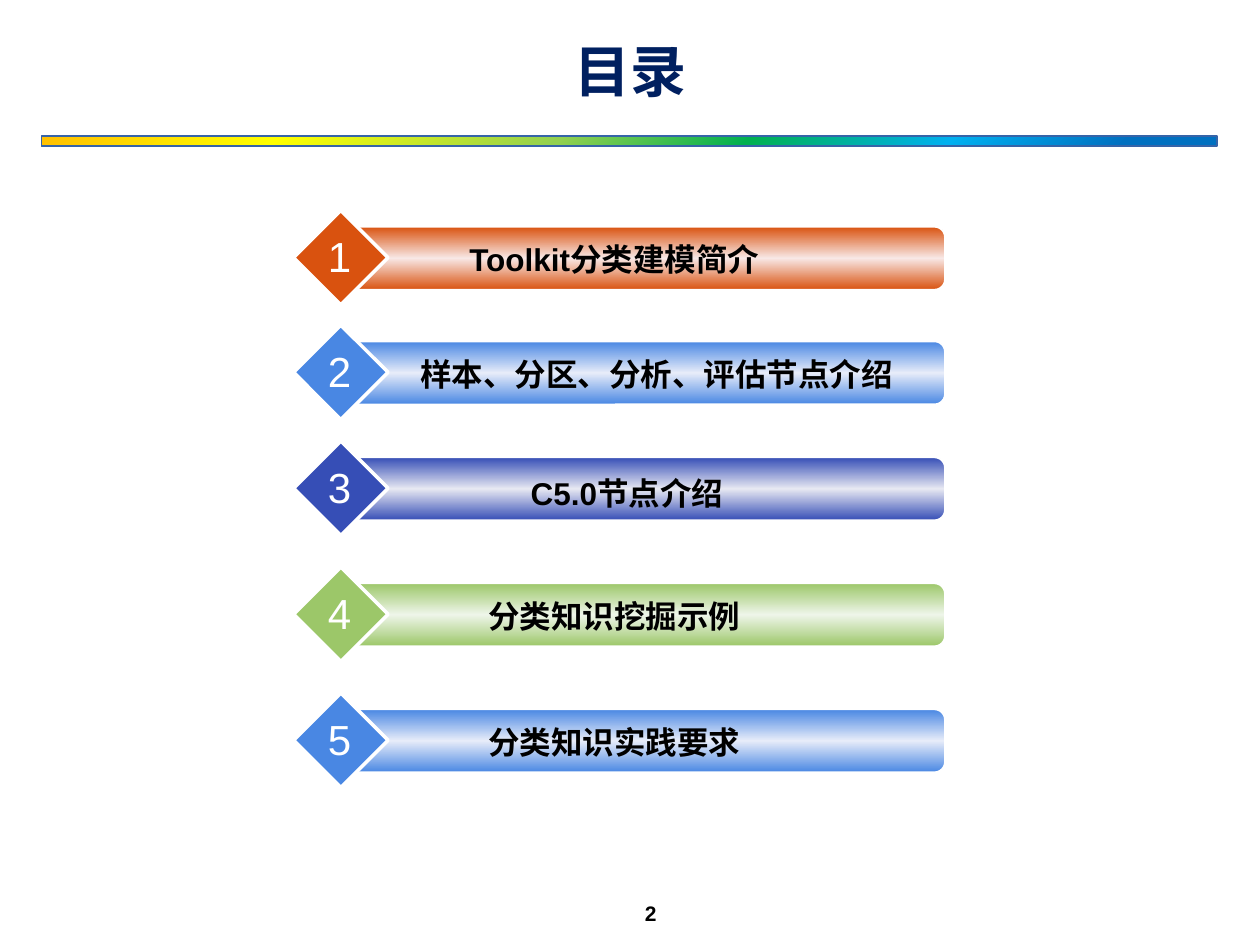
from dataclasses import dataclass

from lxml import etree
from pptx import Presentation
from pptx import util as u
from pptx.dml.color import RGBColor
from pptx.enum import shapes, text
from pptx.oxml.ns import qn

TITLE = "目录"
PAGE_NUMBER = "2"

# number, caption, top, caption box (left, offset from top, width), colour, pale centre
ITEMS = [
    ("1", "Toolkit分类建模简介", 1.67, (3, 0.19, 3.75), "D9520F", "F8E8E6"),
    ("2", "样本、分区、分析、评估节点介绍", 2.58, (3, 0.19, 4.42), "4987E3", "E7ECF9"),
    ("3", "C5.0节点介绍", 3.5, (3.1, 0.21, 3.75), "364EB6", "E7E8F2"),
    ("4", "分类知识挖掘示例", 4.5, (3, 0.19, 3.75), "9CC769", "EEF5E9"),
    ("5", "分类知识实践要求", 5.5, (3, 0.19, 3.75), "4987E3", "E7ECF9"),
]
RAINBOW = [(0, "FFC000"), (20, "FFFF00"), (44, "92D050"),
           (60, "00B050"), (77, "00B0F0"), (92, "0070C0")]


@dataclass(frozen=True)
class Theme:
    font: str = "Arial"
    title: str = "002060"
    ink: str = "000000"
    white: str = "FFFFFF"
    rule_line: str = "3664A8"
    title_size: int = 32
    number_size: int = 24
    caption_size: int = 18
    page_size: int = 12


THEME = Theme()


def box(left, top, width, height):
    return [u.Inches(value) for value in (left, top, width, height)]


def write(shape, content, size, colour, bold=False, wrap=True):
    frame = shape.text_frame
    frame.word_wrap = wrap
    paragraph = frame.paragraphs[0]
    paragraph.alignment = text.PP_ALIGN.CENTER
    run = paragraph.add_run()
    run.text = content
    run.font.name = THEME.font
    run.font.size = u.Pt(size)
    run.font.bold = bold
    run.font.color.rgb = RGBColor.from_string(colour)


def add_outlined(parent, kind, place, line_colour, line_width):
    shape = parent.shapes.add_shape(kind, *box(*place))
    shape.shadow.inherit = False
    shape.line.color.rgb = RGBColor.from_string(line_colour)
    shape.line.width = u.Pt(line_width)
    return shape


def fill_gradient(shape, stops, from_corner=False):
    """Fill from top to bottom, or in circles around the top left corner."""
    shape.fill.background()
    placeholder_fill = shape._element.spPr.find(qn("a:noFill"))
    gradient = etree.Element(qn("a:gradFill"), rotWithShape="1")
    stop_list = etree.SubElement(gradient, qn("a:gsLst"))
    for position, colour in stops:
        stop = etree.SubElement(stop_list, qn("a:gs"), pos=str(position * 1000))
        etree.SubElement(stop, qn("a:srgbClr"), val=colour)
    if from_corner:
        circles = etree.SubElement(gradient, qn("a:path"))
        circles.set("path", "circle")
        etree.SubElement(circles, qn("a:fillToRect"), r="100000", b="100000")
    else:
        etree.SubElement(gradient, qn("a:lin"), ang="5400000", scaled="0")
    shape._element.spPr.replace(placeholder_fill, gradient)


def add_item(slide, number, caption, top, caption_box, colour, pale):
    group = slide.shapes.add_group_shape()

    bar = add_outlined(group, shapes.MSO_SHAPE.ROUNDED_RECTANGLE,
                       (2.75, top + 0.13, 4.75, 0.5), THEME.white, 1)
    bar.adjustments[0] = 0.167
    fill_gradient(bar, [(0, colour), (50, pale), (100, colour)])

    diamond = add_outlined(group, shapes.MSO_SHAPE.DIAMOND,
                           (2.33, top, 0.75, 0.75), THEME.white, 2)
    diamond.fill.solid()
    diamond.fill.fore_color.rgb = RGBColor.from_string(colour)

    left, offset, width = caption_box
    caption_text = group.shapes.add_textbox(*box(left, top + offset, width, 0.4))
    write(caption_text, caption, THEME.caption_size, THEME.ink, bold=True)

    number_text = group.shapes.add_textbox(*box(2.5, top + 0.11, 0.39, 0.5))
    write(number_text, number, THEME.number_size, THEME.white, wrap=False)

    for label in (caption_text, number_text):
        label.text_frame.auto_size = text.MSO_AUTO_SIZE.SHAPE_TO_FIT_TEXT


def main():
    presentation = Presentation()
    presentation.slide_width = u.Inches(10)
    presentation.slide_height = u.Inches(7.5)
    slide = presentation.slides.add_slide(presentation.slide_layouts[5])

    title = slide.shapes.title
    title.left, title.top, title.width, title.height = box(0.67, 0.25, 8.67, 0.62)
    title.text_frame.vertical_anchor = text.MSO_ANCHOR.MIDDLE
    write(title, TITLE, THEME.title_size, THEME.title, bold=True)

    rule = add_outlined(slide, shapes.MSO_SHAPE.RECTANGLE,
                        (0.33, 1.08, 9.33, 0.08), THEME.rule_line, 1)
    fill_gradient(rule, RAINBOW, from_corner=True)
    rule._element.spPr.xfrm.set("flipV", "1")

    for item in ITEMS:
        add_item(slide, *item)

    page = slide.shapes.add_textbox(*box(4, 7.1, 2.33, 0.25))
    write(page, PAGE_NUMBER, THEME.page_size, THEME.ink, bold=True)

    presentation.save("out.pptx")


if __name__ == "__main__":
    main()
